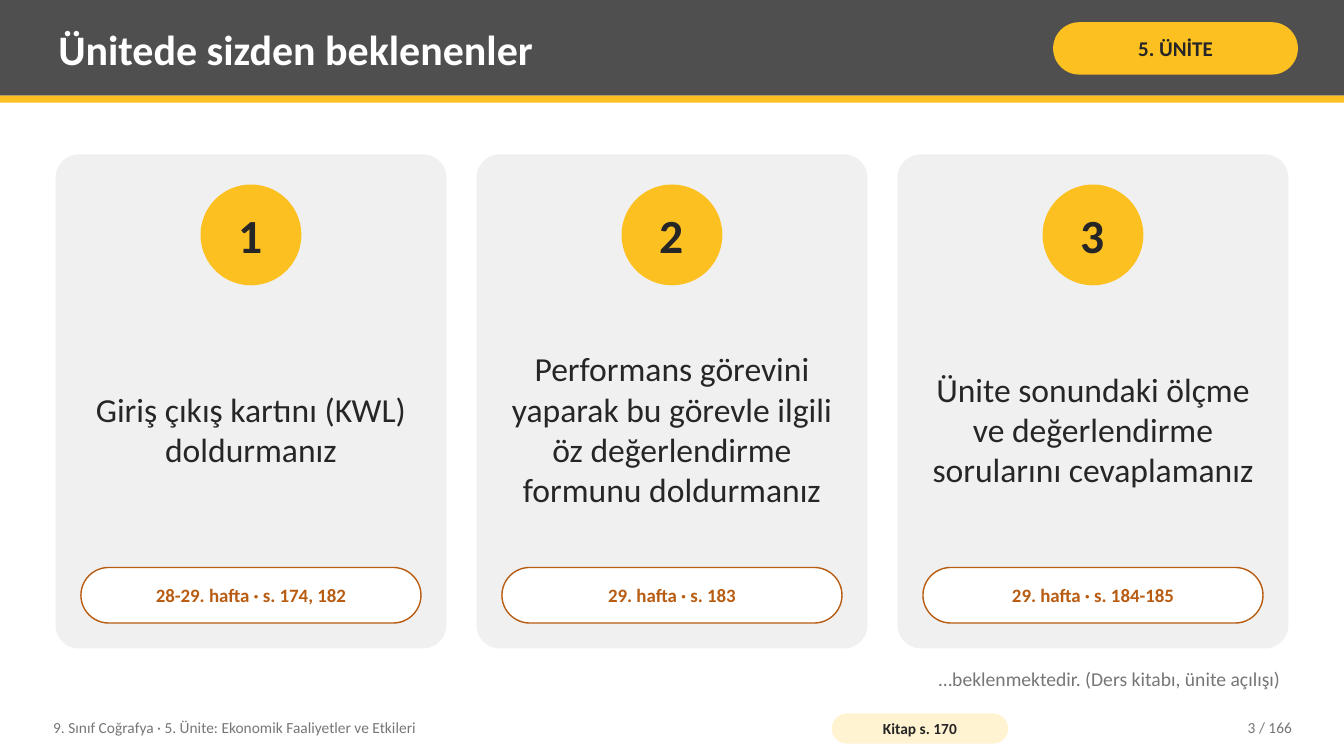
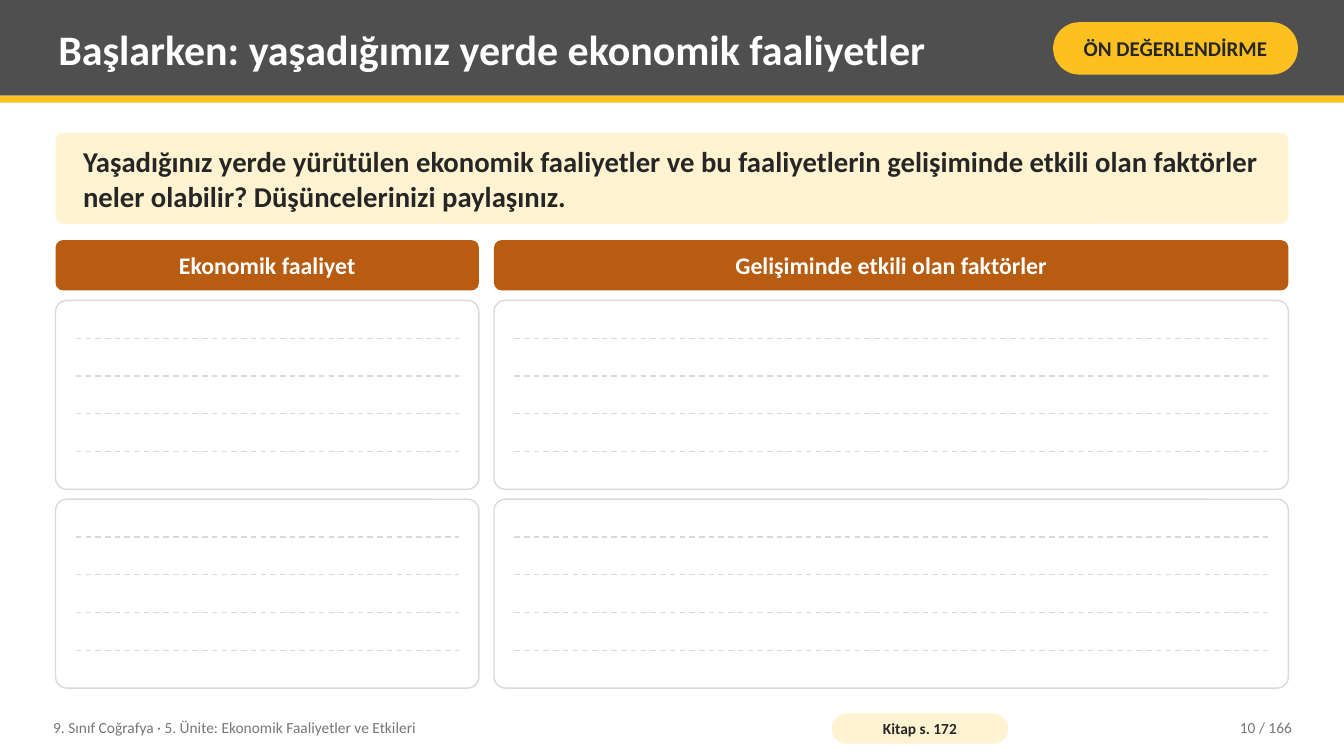
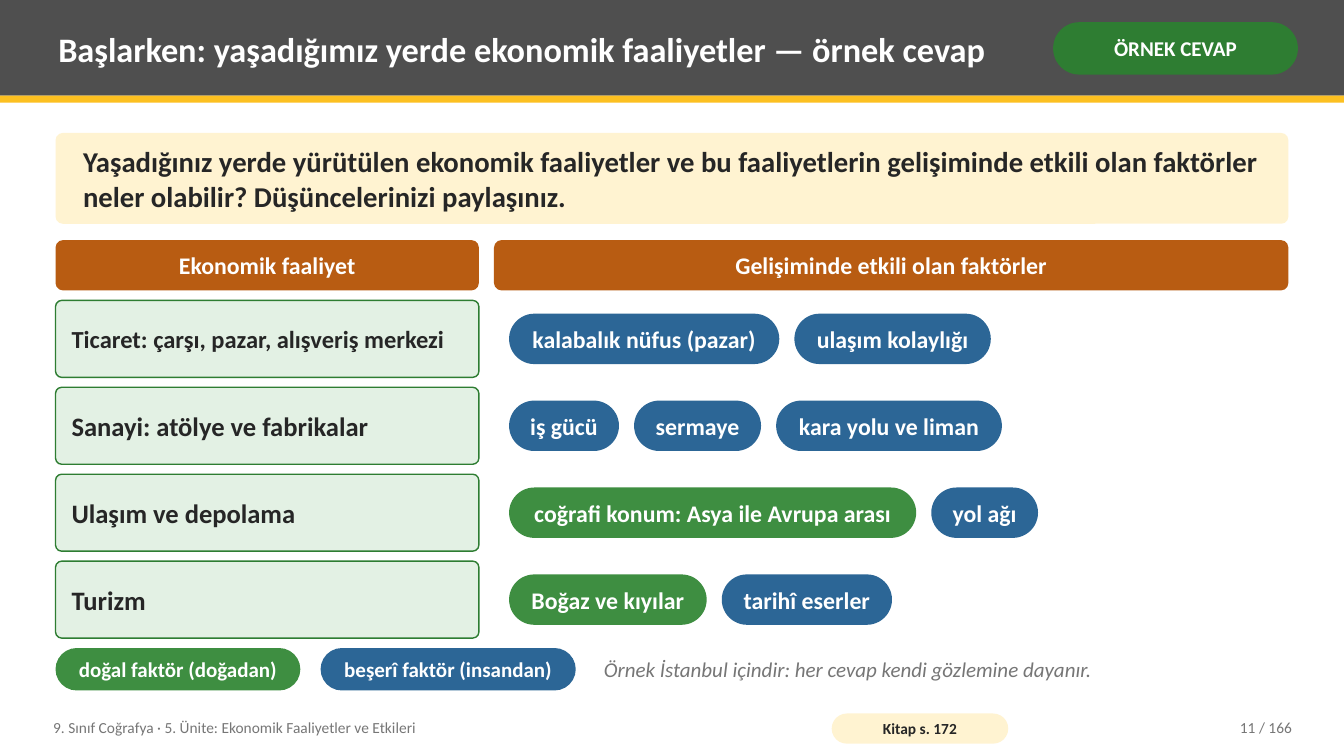
from dataclasses import dataclass

from pptx import Presentation
from pptx import util as u
from pptx.dml.color import RGBColor
from pptx.enum import dml, shapes, text
from pptx.oxml import ns, xmlchemy


@dataclass(frozen=True)
class Theme:
    # Colours
    band: str = "4F4F4F"
    yellow: str = "FCC021"
    cream: str = "FFF3D1"
    brown: str = "B85C12"
    green: str = "2E7D32"
    pale_green: str = "E3F1E4"
    natural: str = "3E8E41"
    human: str = "2C6696"
    card: str = "F0F0F0"
    rule: str = "D9D9D9"
    ink: str = "262626"
    muted: str = "767676"
    white: str = "FFFFFF"
    # Type
    font: str = "Calibri"
    number: float = 34
    title: float = 30
    long_title: float = 24.5
    body: float = 24
    question: float = 20.5
    activity: float = 19
    long_activity: float = 17.5
    label: float = 17
    badge: float = 15
    note: float = 14
    week: float = 13.5
    footer: float = 11


T = Theme()
RECT = shapes.MSO_SHAPE.RECTANGLE
ROUND = shapes.MSO_SHAPE.ROUNDED_RECTANGLE
OVAL = shapes.MSO_SHAPE.OVAL
LEFT, CENTER, RIGHT = text.PP_ALIGN.LEFT, text.PP_ALIGN.CENTER, text.PP_ALIGN.RIGHT
MIDDLE, TOP = text.MSO_ANCHOR.MIDDLE, text.MSO_ANCHOR.TOP

# Content area and its two columns, in centimetres
LEFT_X, FULL_W = 1.4, 31.07
COL_GAP, ROW_GAP = 0.38, 0.25
FIRST_W = 10.67
SECOND_X = LEFT_X + FIRST_W + COL_GAP
SECOND_W = FULL_W - FIRST_W - COL_GAP
COLUMNS = [(LEFT_X, FIRST_W, "Ekonomik faaliyet"),
           (SECOND_X, SECOND_W, "Gelişiminde etkili olan faktörler")]
ROWS_Y = 7.57
PAD = 0.51

prs = Presentation()
prs.slide_width, prs.slide_height = u.Cm(33.87), u.Cm(19.05)


def add_box(s, kind, x, y, w, h, words="", size=T.label, color=T.ink, bold=False,
            italic=False, align=CENTER, anchor=MIDDLE, fill=None, line=None,
            adj=None, inset=(0.2, 0.1)):
    """Add a preset shape, or a text box when kind is None."""
    area = [u.Cm(v) for v in (x, y, w, h)]
    if kind is None:
        sp = s.shapes.add_textbox(*area)
    else:
        sp = s.shapes.add_shape(kind, *area)
        sp.shadow.inherit = False
        sp.fill.solid()
        sp.fill.fore_color.rgb = RGBColor.from_string(fill)
        if line:
            sp.line.color.rgb = RGBColor.from_string(line)
            sp.line.width = u.Pt(1)
        else:
            sp.line.fill.background()
        if adj is not None:
            sp.adjustments[0] = adj
    if words:
        tf = sp.text_frame
        tf.word_wrap = True
        tf.vertical_anchor = anchor
        tf.margin_left = tf.margin_right = u.Cm(inset[0])
        tf.margin_top = tf.margin_bottom = u.Cm(inset[1])
        p = tf.paragraphs[0]
        p.text = words
        p.alignment = align
        p.font.name, p.font.size = T.font, u.Pt(size)
        p.font.bold, p.font.italic = bold, italic
        p.font.color.rgb = RGBColor.from_string(color)
    return sp


def add_page(title, badge, book_page, number, size=T.title, badge_fill=T.yellow,
             badge_color=T.ink):
    """Add a slide with the shared title band, badge and footer."""
    s = prs.slides.add_slide(prs.slide_layouts[6])
    add_box(s, RECT, 0, 0, 33.87, 2.41, fill=T.band)
    add_box(s, RECT, 0, 2.41, 33.87, 0.18, fill=T.yellow)
    add_box(s, None, 1.27, 0.18, 24.77, 2.08, title, size, T.white, bold=True, align=LEFT)
    add_box(s, ROUND, 26.54, 0.56, 6.17, 1.32, badge, T.badge, badge_color, bold=True,
            fill=badge_fill, adj=0.5, inset=(0.13, 0.05))
    add_box(s, None, 1.14, 17.88, 19.3, 0.91,
            "9. Sınıf Coğrafya · 5. Ünite: Ekonomik Faaliyetler ve Etkileri",
            T.footer, T.muted, align=LEFT)
    add_box(s, ROUND, 20.96, 17.98, 4.45, 0.76, f"Kitap s. {book_page}", T.footer,
            bold=True, fill=T.cream, adj=0.5, inset=(0.1, 0))
    add_box(s, None, 28.7, 17.88, 4.06, 0.91, f"{number} / 166", T.footer, T.muted,
            align=RIGHT)
    return s


# Slide 1: three numbered expectation cards
s = add_page("Ünitede sizden beklenenler", "5. ÜNİTE", 170, 3)
tasks = [
    ("Giriş çıkış kartını (KWL) doldurmanız", "28-29. hafta · s. 174, 182"),
    ("Performans görevini yaparak bu görevle ilgili öz değerlendirme formunu doldurmanız",
     "29. hafta · s. 183"),
    ("Ünite sonundaki ölçme ve değerlendirme sorularını cevaplamanız",
     "29. hafta · s. 184-185"),
]
card_gap, circle = 0.76, 2.54
card_w = (FULL_W - 2 * card_gap) / 3
for i, (task, week) in enumerate(tasks):
    x = LEFT_X + i * (card_w + card_gap)
    add_box(s, ROUND, x, 3.89, card_w, 12.45, fill=T.card, adj=0.06)
    add_box(s, OVAL, x + (card_w - circle) / 2, 4.65, circle, circle, str(i + 1),
            T.number, bold=True, fill=T.yellow, inset=(0, 0))
    add_box(s, None, x + PAD, 7.7, card_w - 2 * PAD, 6.22, task, T.body)
    add_box(s, ROUND, x + 0.64, 14.3, card_w - 1.28, 1.4, week, T.week, T.brown,
            bold=True, fill=T.white, line=T.brown, adj=0.5, inset=(0.1, 0.2))
add_box(s, None, LEFT_X, 16.71, FULL_W, 1.02,
        "…beklenmektedir. (Ders kitabı, ünite açılışı)", T.note, T.muted,
        align=RIGHT, anchor=TOP)

# Slides 2 and 3: the same question and column heads
blank_page = add_page("Başlarken: yaşadığımız yerde ekonomik faaliyetler",
                      "ÖN DEĞERLENDİRME", 172, 10)
answer_page = add_page("Başlarken: yaşadığımız yerde ekonomik faaliyetler — örnek cevap",
                       "ÖRNEK CEVAP", 172, 11, T.long_title, T.green, T.white)
for s in (blank_page, answer_page):
    add_box(s, ROUND, LEFT_X, 3.35, FULL_W, 2.29,
            "Yaşadığınız yerde yürütülen ekonomik faaliyetler ve bu faaliyetlerin "
            "gelişiminde etkili olan faktörler neler olabilir? Düşüncelerinizi paylaşınız.",
            T.question, bold=True, align=LEFT, fill=T.cream, adj=0.08, inset=(0.64, 0.2))
    for x, w, head in COLUMNS:
        add_box(s, ROUND, x, 6.05, w, 1.27, head, T.label, T.white, bold=True,
                fill=T.brown, adj=0.15, inset=(0.36, 0.2))

# Slide 2: ruled boxes to write in
box_h, spaces = 4.76, 5
for row in range(2):
    y = ROWS_Y + row * (box_h + ROW_GAP)
    for x, w, _ in COLUMNS:
        add_box(blank_page, ROUND, x, y, w, box_h, fill=T.white, line=T.rule, adj=0.06)
        for n in range(1, spaces):
            line_y = u.Cm(y + n * box_h / spaces)
            cn = blank_page.shapes.add_connector(
                shapes.MSO_CONNECTOR.STRAIGHT, u.Cm(x + PAD), line_y,
                u.Cm(x + w - PAD), line_y)
            cn.line.color.rgb = RGBColor.from_string(T.rule)
            cn.line.width = u.Pt(1)
            cn.line.dash_style = dml.MSO_LINE.DASH
            cn._element.spPr.append(xmlchemy.OxmlElement("a:effectLst"))

# Slide 3: activities, each with its factor chips (text, width, colour)
answers = [
    ("Ticaret: çarşı, pazar, alışveriş merkezi", T.long_activity,
     [("kalabalık nüfus (pazar)", 6.81, T.human), ("ulaşım kolaylığı", 4.95, T.human)]),
    ("Sanayi: atölye ve fabrikalar", T.activity,
     [("iş gücü", 2.77, T.human), ("sermaye", 3.2, T.human),
      ("kara yolu ve liman", 5.69, T.human)]),
    ("Ulaşım ve depolama", T.activity,
     [("coğrafi konum: Asya ile Avrupa arası", 10.26, T.natural),
      ("yol ağı", 2.69, T.human)]),
    ("Turizm", T.activity,
     [("Boğaz ve kıyılar", 4.98, T.natural), ("tarihî eserler", 4.29, T.human)]),
]
row_h, chip_h = 1.94, 1.27
for i, (activity, size, factors) in enumerate(answers):
    y = ROWS_Y + i * (row_h + ROW_GAP)
    add_box(answer_page, ROUND, LEFT_X, y, FIRST_W, row_h, activity, size, bold=True,
            align=LEFT, fill=T.pale_green, line=T.green, adj=0.08, inset=(0.36, 0.2))
    x = SECOND_X + COL_GAP
    for factor, w, fill in factors:
        add_box(answer_page, ROUND, x, y + (row_h - chip_h) / 2, w, chip_h, factor,
                T.label, T.white, bold=True, fill=fill, adj=0.5, inset=(0.15, 0))
        x += w + COL_GAP

# Slide 3: colour key and remark
x = LEFT_X
for key, w, fill in [("doğal faktör (doğadan)", 6.17, T.natural),
                     ("beşerî faktör (insandan)", 6.43, T.human)]:
    add_box(answer_page, ROUND, x, 16.33, w, 1.07, key, T.badge, T.white, bold=True,
            fill=fill, adj=0.5, inset=(0.15, 0))
    x += w + PAD
add_box(answer_page, None, x, 16.28, LEFT_X + FULL_W - x, 1.14,
        "Örnek İstanbul içindir: her cevap kendi gözlemine dayanır.", T.badge, T.muted,
        italic=True, align=LEFT)

prs.save("out.pptx")
